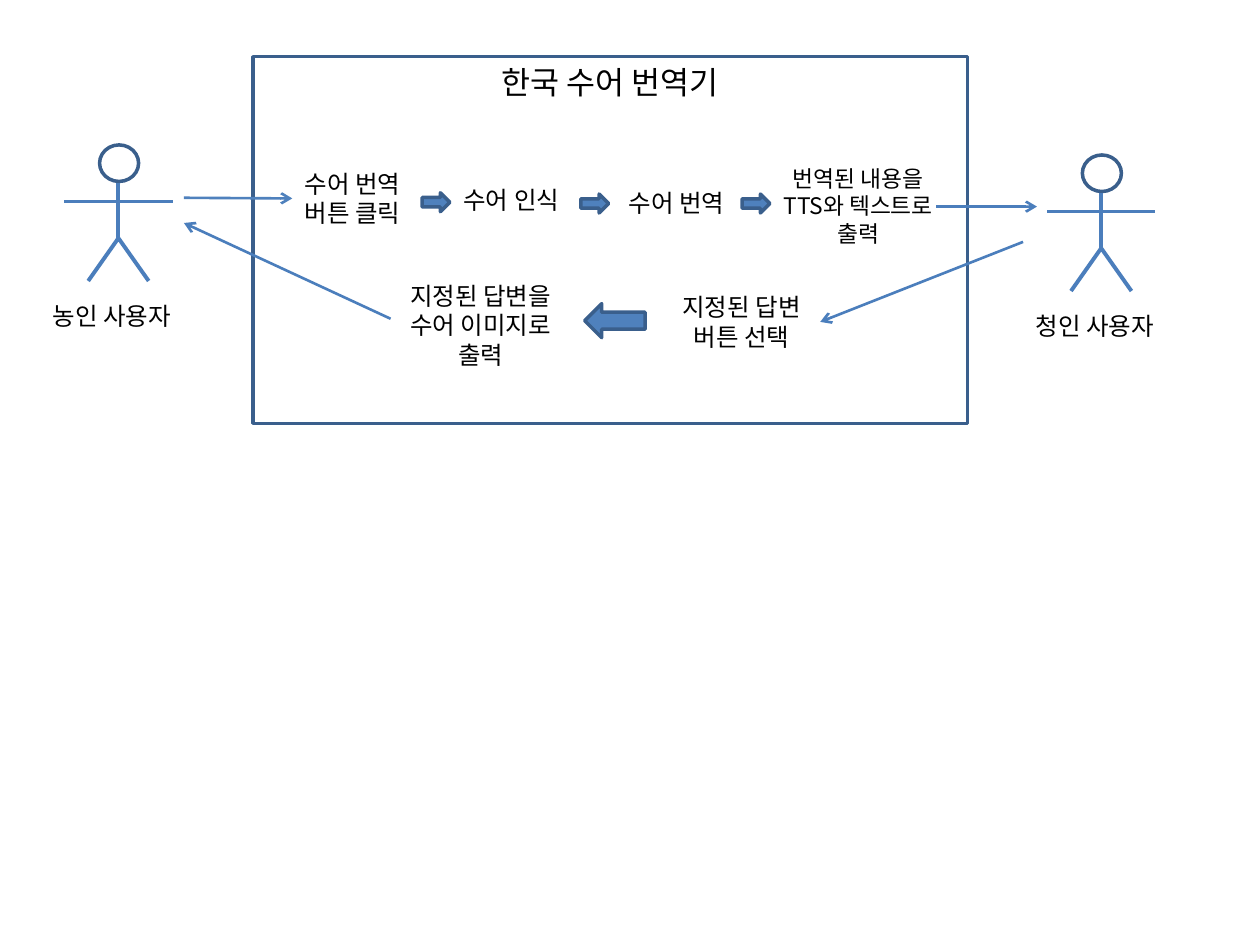
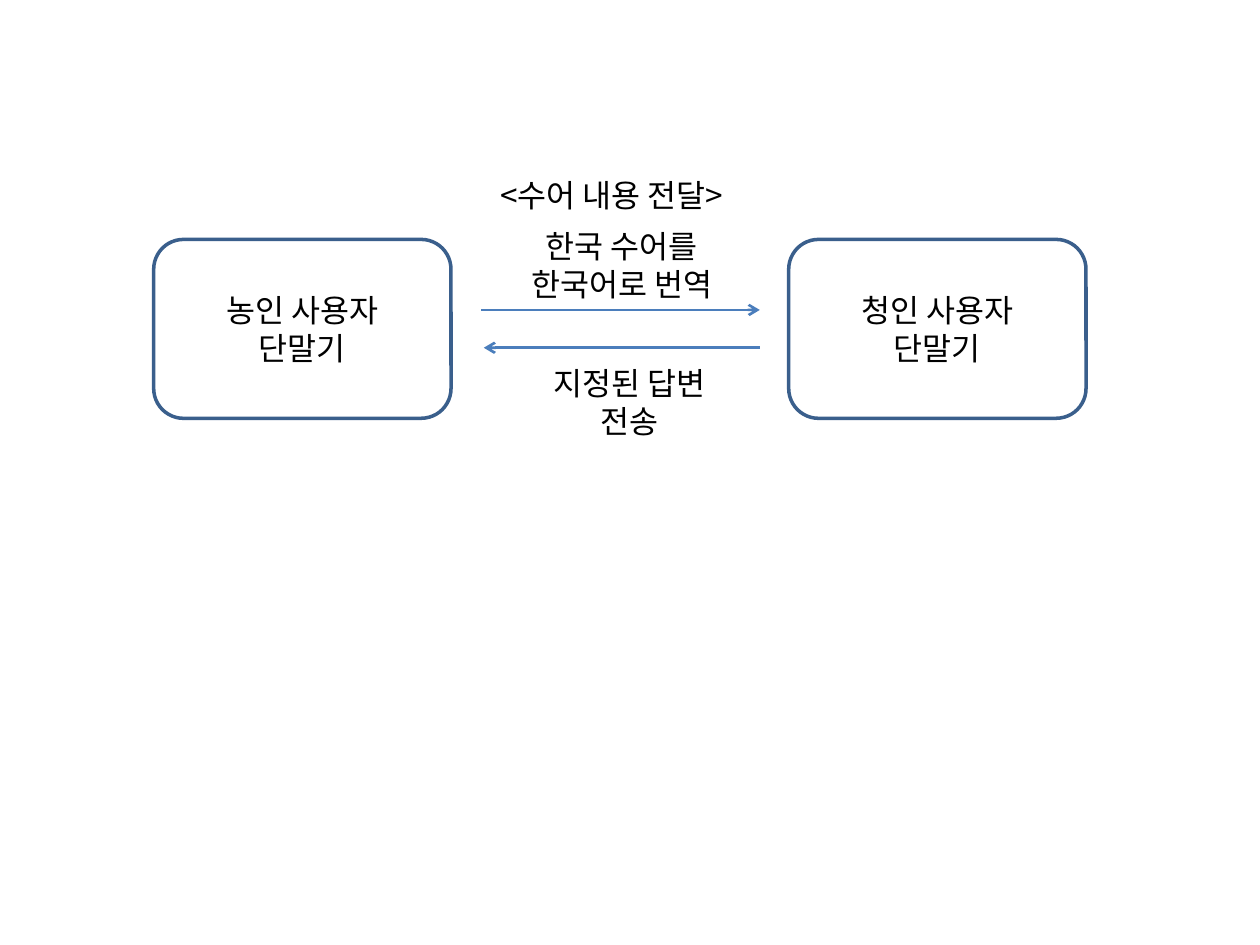
"""Build two slides that describe a Korean sign language translator."""
from dataclasses import dataclass
from typing import Optional

from lxml import etree
from pptx import Presentation
from pptx import util as u
from pptx.dml.color import RGBColor
from pptx.enum import shapes, text
from pptx.oxml import ns

FONT = "Noto Sans CJK KR"
COLORS = {"outline": "3A5F8C", "line": "4B7EBC", "arrow": "4F81BD", "paper": "FFFFFF", "ink": "000000"}
KIND = shapes.MSO_SHAPE
CENTER, LEFT = text.PP_ALIGN.CENTER, text.PP_ALIGN.LEFT


@dataclass(frozen=True)
class Box:
    left: float
    top: float
    width: float
    height: float


@dataclass(frozen=True)
class Label:
    box: Box
    words: str
    size: float = 14
    align: int = CENTER
    wrap: bool = False


@dataclass(frozen=True)
class Line:
    start: tuple
    end: tuple
    width: float = 1.5
    arrow: bool = True
    color: str = "line"
    begin_on: Optional[tuple] = None
    end_on: Optional[tuple] = None


@dataclass(frozen=True)
class Actor:
    center: float
    top: float
    name: str


def color(name: str) -> RGBColor:
    return RGBColor.from_string(COLORS[name])


def place(box: Box) -> list:
    return [u.Inches(value) for value in (box.left, box.top, box.width, box.height)]


def write(frame, words: str, size: float, align: int) -> None:
    for number, words_line in enumerate(words.split("\n")):
        para = frame.paragraphs[0] if number == 0 else frame.add_paragraph()
        para.alignment = align
        span = para.add_run()
        span.text = words_line
        span.font.name = FONT
        span.font.size = u.Pt(size)
        span.font.color.rgb = color("ink")
        east_asian = etree.SubElement(span.font._element, ns.qn("a:ea"))
        east_asian.set("typeface", FONT)


def add_figure(page, kind: int, box: Box, fill: str = "paper"):
    figure = page.shapes.add_shape(kind, *place(box))
    figure.shadow.inherit = False
    figure.fill.solid()
    figure.fill.fore_color.rgb = color(fill)
    figure.line.color.rgb = color("outline")
    figure.line.width = u.Pt(2)
    return figure


def add_label(page, label: Label):
    label_shape = page.shapes.add_textbox(*place(label.box))
    frame = label_shape.text_frame
    frame.word_wrap = label.wrap
    frame.auto_size = text.MSO_AUTO_SIZE.SHAPE_TO_FIT_TEXT
    write(frame, label.words, label.size, label.align)
    return label_shape


def add_line(page, line: Line) -> None:
    points = [u.Inches(value) for value in (*line.start, *line.end)]
    connector = page.shapes.add_connector(shapes.MSO_CONNECTOR.STRAIGHT, *points)
    if line.begin_on:
        connector.begin_connect(*line.begin_on)
    if line.end_on:
        connector.end_connect(*line.end_on)
    connector.line.color.rgb = color(line.color)
    connector.line.width = u.Pt(line.width)
    properties = connector._element.spPr
    if line.arrow:
        tail = etree.SubElement(properties.find(ns.qn("a:ln")), ns.qn("a:tailEnd"))
        tail.set("type", "arrow")
    etree.SubElement(properties, ns.qn("a:effectLst"))


def add_actor(page, actor: Actor) -> None:
    x, y = actor.center, actor.top
    add_figure(page, KIND.OVAL, Box(x - 0.15, y, 0.31, 0.29))
    add_line(page, Line((x, y + 0.3), (x, y + 0.77), 2.25, arrow=False))
    for side in (1, -1):
        add_line(page, Line((x, y + 0.74), (x + side * 0.24, y + 1.08), 2.25, arrow=False))
    add_line(page, Line((x - 0.43, y + 0.45), (x + 0.43, y + 0.45), arrow=False))
    add_label(page, Label(Box(x - 0.62, y + 1.19, 1.25, 0.34), actor.name, align=LEFT))


def build_use_case(page) -> None:
    add_figure(page, KIND.RECTANGLE, Box(2.01, 0.45, 5.67, 2.91))
    add_label(page, Label(Box(3.73, 0.45, 2.23, 0.4), "한국 수어 번역기", 18, wrap=True))
    start_button = add_label(page, Label(Box(2.32, 1.29, 1.06, 0.57), "수어 번역\n버튼 클릭", align=LEFT))
    answer_button = add_label(page, Label(Box(5.26, 2.27, 1.25, 0.57), "지정된 답변\n버튼 선택"))
    for label in (
        Label(Box(3.58, 1.42, 1.06, 0.34), "수어 인식", align=LEFT),
        Label(Box(4.84, 1.44, 1.06, 0.34), "수어 번역"),
        Label(Box(3.09, 2.18, 1.45, 0.81), "지정된 답변을\n수어 이미지로\n출력"),
        Label(Box(6.07, 1.26, 1.48, 0.76), "번역된 내용을\nTTS와 텍스트로\n출력", 13),
    ):
        add_label(page, label)
    for actor in (Actor(0.94, 1.15, "농인 사용자"), Actor(8.74, 1.23, "청인 사용자")):
        add_actor(page, actor)
    for left, top in ((3.35, 1.53), (4.61, 1.54), (5.89, 1.54)):
        add_figure(page, KIND.RIGHT_ARROW, Box(left, top, 0.22, 0.15), "arrow")
    add_figure(page, KIND.RIGHT_ARROW, Box(4.64, 2.41, 0.48, 0.27), "arrow").rotation = 180
    for line in (
        Line((1.46, 1.57), (2.32, 1.57), color="arrow", end_on=(start_button, 1)),
        Line((7.43, 1.64), (8.23, 1.64)),
        Line((3.1, 2.53), (1.46, 1.77)),
        Line((8.12, 1.92), (6.52, 2.55), end_on=(answer_button, 3)),
    ):
        add_line(page, line)


def build_devices(page) -> None:
    for left, owner in ((1.22, "농인 사용자"), (6.26, "청인 사용자")):
        device = add_figure(page, KIND.ROUNDED_RECTANGLE, Box(left, 1.9, 2.36, 1.42))
        device.text_frame.vertical_anchor = text.MSO_ANCHOR.MIDDLE
        write(device.text_frame, f"{owner}\n단말기", 18, CENTER)
    add_line(page, Line((3.82, 2.46), (6.03, 2.46)))
    add_line(page, Line((6.03, 2.76), (3.84, 2.76)))
    for label in (
        Label(Box(3.87, 1.35, 2.25, 0.4), "<수어 내용 전달>", 18, LEFT),
        Label(Box(4.03, 1.75, 1.81, 0.71), "한국 수어를\n한국어로 번역", 18),
        Label(Box(4.22, 2.84, 1.55, 0.71), "지정된 답변\n전송", 18),
    ):
        add_label(page, label)


def main() -> None:
    deck = Presentation()
    deck.slide_width, deck.slide_height = u.Inches(10), u.Inches(7.5)
    for build in (build_use_case, build_devices):
        build(deck.slides.add_slide(deck.slide_layouts[6]))
    deck.save("out.pptx")


if __name__ == "__main__":
    main()
